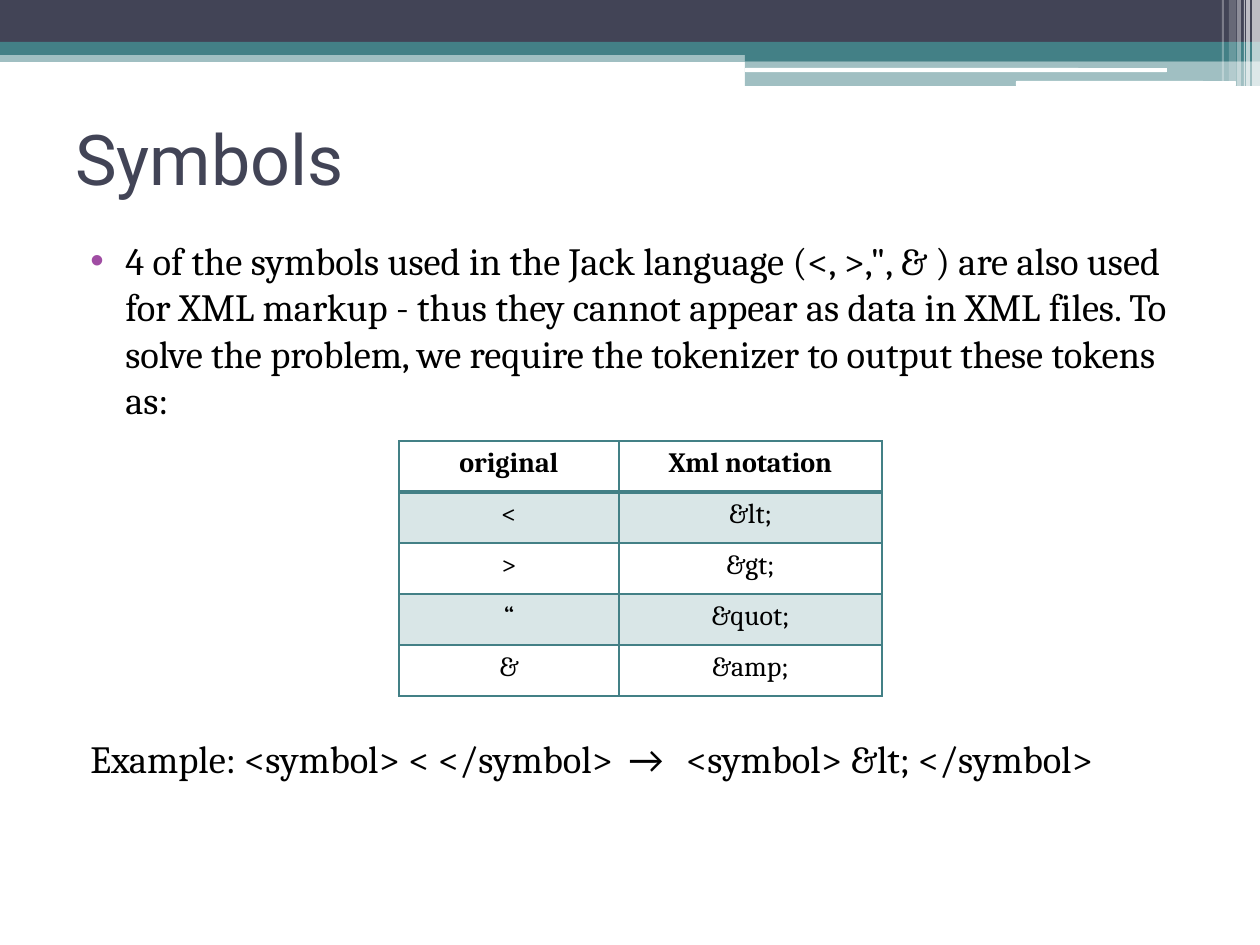
import pptx
import pptx.dml.color
import pptx.enum.shapes
import pptx.enum.text
import pptx.oxml.ns
import pptx.util
import lxml.etree

RGBColor = pptx.dml.color.RGBColor
NAVY = RGBColor(0x42, 0x44, 0x56)
TEAL = RGBColor(0x43, 0x80, 0x86)
PALE_TEAL = RGBColor(0xD9, 0xE6, 0xE7)
PURPLE = RGBColor(0xA0, 0x4D, 0xA3)
WHITE = RGBColor(0xFF, 0xFF, 0xFF)
BLACK = RGBColor(0, 0, 0)
EMU_PER_PX = 914400 / 126
qn = pptx.oxml.ns.qn


def px(n):
    return pptx.util.Emu(round(n * EMU_PER_PX))


def sub(parent, tag, **attrs):
    el = lxml.etree.SubElement(parent, qn(tag))
    for name, value in attrs.items():
        el.set(name, str(value))
    return el


class Deck:
    body_font = "Cambria"
    title_font = "Roboto"
    arrow_font = "Calibri"

    def __init__(self, width, height):
        self.prs = pptx.Presentation()
        self.prs.slide_width = px(width)
        self.prs.slide_height = px(height)
        self.s = self.prs.slides.add_slide(self.prs.slide_layouts[6])

    def bar(self, x, y, w, h, color, opacity=100, rounded=False):
        kinds = pptx.enum.shapes.MSO_SHAPE
        kind = kinds.ROUNDED_RECTANGLE if rounded else kinds.RECTANGLE
        sp = self.s.shapes.add_shape(kind, px(x), px(y), px(w), px(h))
        sp.shadow.inherit = False
        sp.fill.solid()
        sp.fill.fore_color.rgb = color
        sp.line.fill.background()
        if opacity < 100:
            clr = sp._element.spPr.find(qn("a:solidFill"))[0]
            sub(clr, "a:alpha", val=opacity * 1000)

    def run(self, p, text, size, font=None, color=BLACK, bold=False, spacing=0):
        r = p.add_run()
        r.text = text
        r.font.size = pptx.util.Pt(size)
        r.font.name = font or self.body_font
        r.font.bold = bold
        r.font.color.rgb = color
        if spacing:
            r._r.get_or_add_rPr().set("spc", str(spacing * 100))

    def text(self, x, y, w, h, anchor=pptx.enum.text.MSO_ANCHOR.TOP):
        tf = self.s.shapes.add_textbox(px(x), px(y), px(w), px(h)).text_frame
        tf.word_wrap = True
        tf.vertical_anchor = anchor
        return tf.paragraphs[0]

    def indent(self, p, left, hanging=0, bullet=None):
        p.space_before = pptx.util.Pt(3)
        pPr = p._p.get_or_add_pPr()
        pPr.set("marL", str(px(left)))
        pPr.set("indent", str(px(-hanging)))
        if bullet:
            sub(sub(pPr, "a:buClr"), "a:srgbClr", val=PURPLE)
            sub(pPr, "a:buFont", typeface="Arial")
            sub(pPr, "a:buChar", char=bullet)

    def border(self, cell, bottom):
        tcPr = cell._tc.get_or_add_tcPr()
        for i, (side, width) in enumerate(zip("LRTB", (1, 1, 1, bottom))):
            ln = sub(tcPr, f"a:ln{side}", w=pptx.util.Pt(width))
            sub(sub(ln, "a:solidFill"), "a:srgbClr", val=TEAL)
            tcPr.insert(i, ln)

    def table(self, x, y, col_widths, row_height, rows):
        frame = self.s.shapes.add_table(
            len(rows), len(col_widths), px(x), px(y),
            px(sum(col_widths)), px(row_height * len(rows)))
        tbl = frame.table
        for col, width in zip(tbl.columns, col_widths):
            col.width = px(width)
        for i, values in enumerate(rows):
            tbl.rows[i].height = px(row_height)
            for j, value in enumerate(values):
                cell = tbl.cell(i, j)
                cell.fill.solid()
                cell.fill.fore_color.rgb = PALE_TEAL if i % 2 else WHITE
                self.border(cell, 2 if i == 0 else 1)
                p = cell.text_frame.paragraphs[0]
                p.alignment = pptx.enum.text.PP_ALIGN.CENTER
                self.run(p, value, 16, bold=i == 0)


def main():
    deck = Deck(1260, 945)

    deck.bar(0, 50, 1260, 12, TEAL, 50)
    deck.bar(0, 0, 1260, 42, NAVY)
    deck.bar(0, 42, 1260, 13, TEAL)
    deck.bar(745, 49, 515, 12, TEAL)
    deck.bar(745, 61, 515, 25, TEAL, 50)
    deck.bar(745, 68, 422, 4, WHITE, rounded=True)
    deck.bar(1016, 81, 220, 5, WHITE, rounded=True)
    stripes = [(1252, 8, 86, 65), (1246, 4, 86, 65), (1244, 1, 86, 60),
               (1237, 4, 86, 40), (1229, 7, 81, 20), (1222, 2, 81, 30)]
    for x, w, h, opacity in stripes:
        deck.bar(x, 0, w, h, WHITE, opacity)

    title = deck.text(63, 84, 1134, 147, pptx.enum.text.MSO_ANCHOR.MIDDLE)
    deck.run(title, "Symbols", 40, deck.title_font, NAVY)

    body = deck.text(63, 231, 1134, 200)
    deck.indent(body, 50, 35, "•")
    deck.run(body, "4 of the symbols used in the Jack language (<, >,\", & ) are "
             "also used for XML markup - thus they cannot appear as data in XML "
             "files. To solve the problem, we require the tokenizer to output "
             "these tokens as:", 22)

    deck.table(399, 441, (220, 263), 51, [
        ("original", "Xml notation"),
        ("<", "&lt;"),
        (">", "&gt;"),
        ("“", "&quot;"),
        ("&", "&amp;"),
    ])

    example = deck.text(63, 729, 1134, 60)
    deck.indent(example, 15)
    deck.run(example, "Example: <symbol> < </symbol>", 22)
    deck.run(example, " → ", 22, deck.arrow_font, spacing=4)
    deck.run(example, "<symbol> &lt; </symbol>", 22)

    deck.prs.save("out.pptx")


if __name__ == "__main__":
    main()
